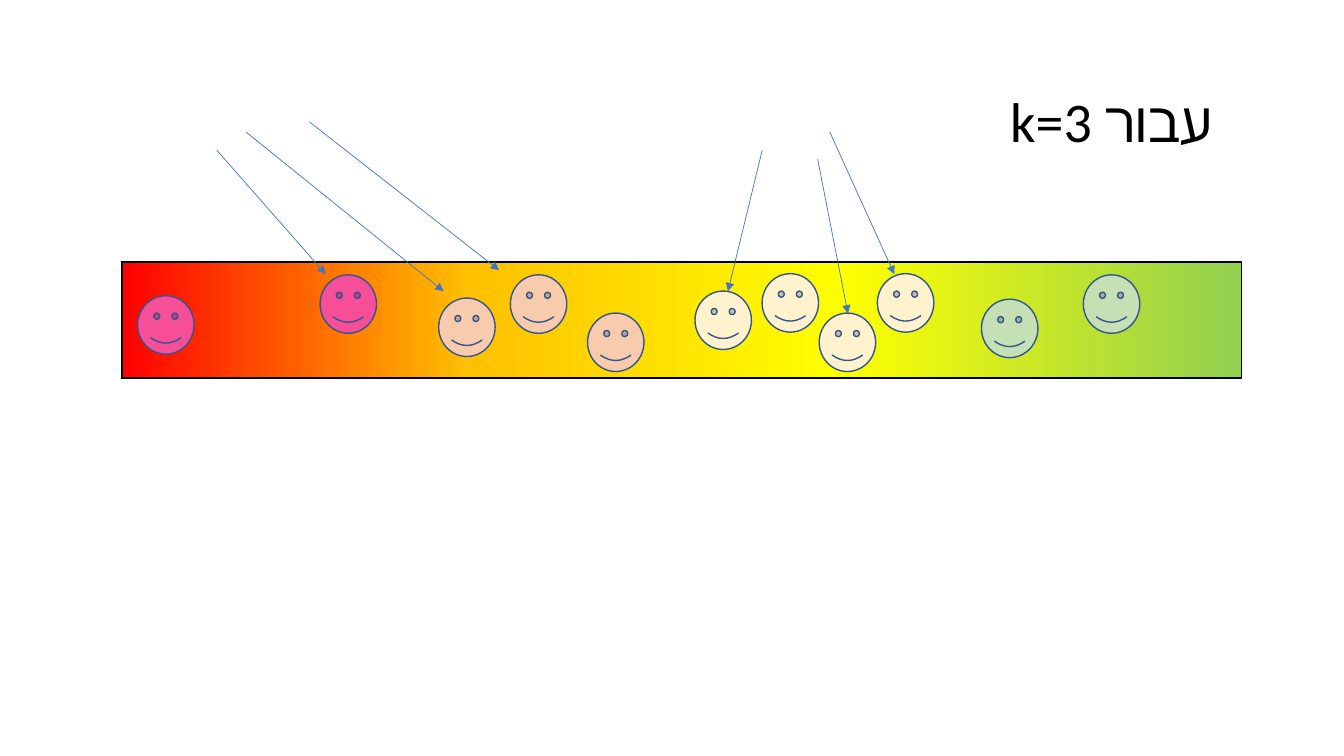
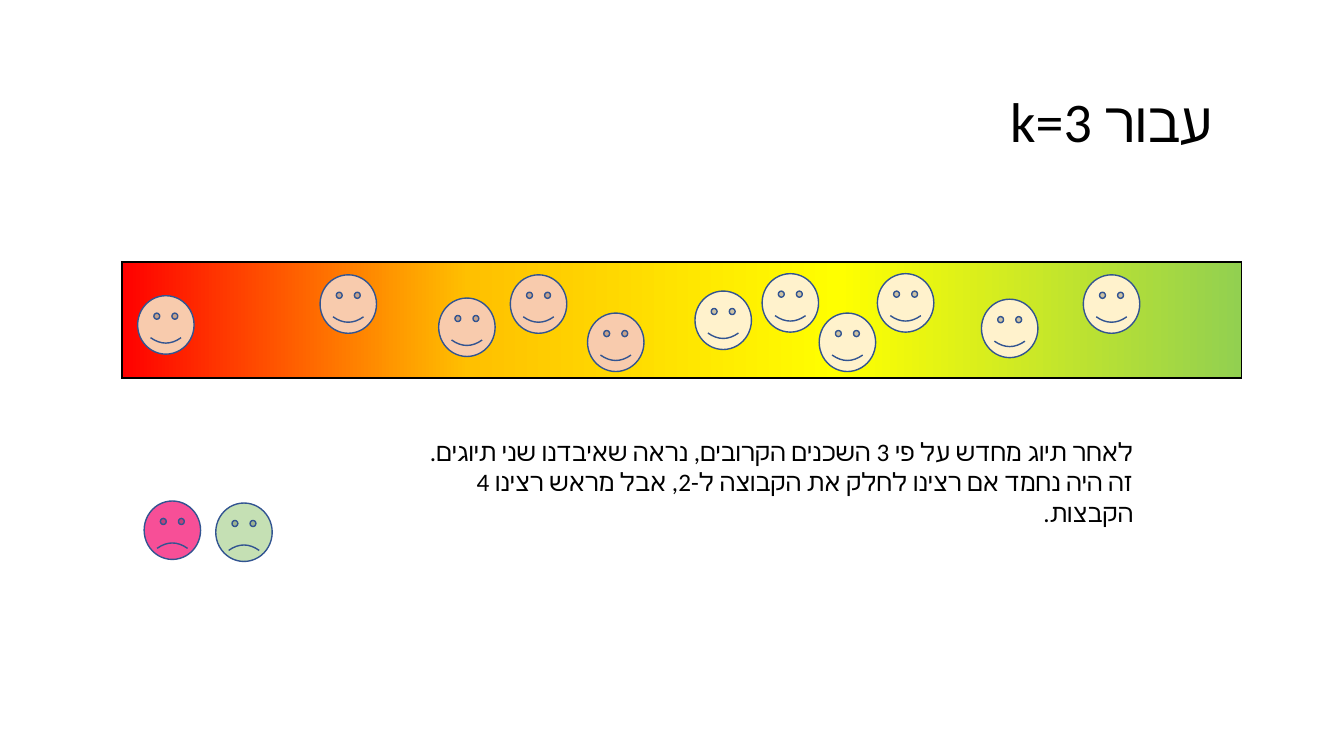
"""Builds two slides on relabelling neighbours along a colour band for k=3."""
from dataclasses import dataclass
from pptx import Presentation
from pptx.dml.color import RGBColor as Rgb
from pptx.enum.shapes import MSO_CONNECTOR as Conn, MSO_SHAPE as Shape
from pptx.enum.text import MSO_ANCHOR as Anchor, MSO_AUTO_SIZE as Fit, PP_ALIGN as Align
from pptx.oxml import parse_xml
from pptx.oxml.ns import nsdecls
from pptx.oxml.xmlchemy import OxmlElement as Node
from pptx.util import Inches, Pt


@dataclass(frozen=True)
class Theme:
    """Colours, font and type sizes."""
    font: str = "Calibri"
    title: int = 40
    body: int = 18
    ink: str = "000000"
    edge: str = "325491"
    arrow: str = "4472C4"
    stops: tuple = ((0, "FF0000"), (31, "FFC000"), (64, "FFFF00"), (100, "92D050"))


LOOK = Theme()
TINTS = {"P": "F74F97", "O": "F8CBAD", "Y": "FFF2CC", "G": "C5E0B4"}
TITLE = "עבור k=3"
NOTE = ("לאחר תיוג מחדש על פי 3 השכנים הקרובים, נראה שאיבדנו שני תיוגים. "
        "זה היה נחמד אם רצינו לחלק את הקבוצה ל-2, אבל מראש רצינו 4 הקבצות.")
BAND = (1.21, 2.6, 11.1, 1.15)
FACE = (0.56, 0.58)
SPOTS = [(1.4, 29), (17.7, 11), (28.3, 31), (34.7, 11), (41.6, 44), (51.2, 25),
         (57.2, 10), (62.3, 44), (67.5, 10), (76.8, 32), (85.9, 11)]
ARROWS = [(7.56, 1.49, 7.22, 2.89), (8.11, 1.58, 8.41, 3.11), (8.23, 1.31, 8.87, 2.72),
          (2.15, 1.49, 3.23, 2.72), (2.44, 1.31, 4.4, 2.89), (3.07, 1.21, 4.95, 2.68)]
LOST = [("P", 1.43, 4.97), ("G", 2.14, 4.99)]
SLIDES = [
    {"tags": "PPOOOYYYYGG", "arrows": ARROWS, "lost": [], "note": ""},
    {"tags": "OOOOOYYYYYY", "arrows": [], "lost": LOST, "note": NOTE},
]


def inch(*vals):
    return [Inches(val) for val in vals]


def write(box, text, area, size):
    box.left, box.top, box.width, box.height = inch(*area)
    frame = box.text_frame
    frame.text = text
    frame.word_wrap = True
    frame.auto_size = Fit.SHAPE_TO_FIT_TEXT
    frame.vertical_anchor = Anchor.TOP
    para = frame.paragraphs[0]
    para.alignment = Align.RIGHT
    para.line_spacing = 1.0
    para.space_before = Pt(0)
    props = para._p.get_or_add_pPr()
    for key, val in (("rtl", "1"), ("marL", "0"), ("marR", "0"), ("indent", "0")):
        props.set(key, val)
    props.append(Node("a:buNone"))
    for run in para.runs:
        font = run.font
        font.name, font.size = LOOK.font, Pt(size)
        font.color.rgb = Rgb.from_string(LOOK.ink)
        script = Node("a:cs")
        script.set("typeface", LOOK.font)
        run._r.get_or_add_rPr().append(script)


def add_band(slide):
    table = slide.shapes.add_table(1, 1, *inch(*BAND)).table
    table.first_row = table.horz_banding = False
    props = table.cell(0, 0)._tc.get_or_add_tcPr()
    for side in "LRTB":
        props.append(parse_xml(
            f'<a:ln{side} {nsdecls("a")} w="{Pt(1)}"><a:solidFill>'
            f'<a:srgbClr val="{LOOK.ink}"/></a:solidFill></a:ln{side}>'))
    stops = "".join(f'<a:gs pos="{pos * 1000}"><a:srgbClr val="{tint}"/></a:gs>'
                    for pos, tint in LOOK.stops)
    props.append(parse_xml(f'<a:gradFill {nsdecls("a")} rotWithShape="1"><a:gsLst>{stops}'
                           '</a:gsLst><a:lin ang="0" scaled="0"/></a:gradFill>'))


def add_face(slide, tag, left, top, sad=False):
    face = slide.shapes.add_shape(Shape.SMILEY_FACE, *inch(left, top, *FACE))
    face.shadow.inherit = False
    face.fill.solid()
    face.fill.fore_color.rgb = Rgb.from_string(TINTS[tag])
    face.line.color.rgb = Rgb.from_string(LOOK.edge)
    face.line.width = Pt(1)
    if sad:
        face.adjustments[0] = -0.05


def add_arrow(slide, ends):
    line = slide.shapes.add_connector(Conn.STRAIGHT, *inch(*ends))
    line.line.color.rgb = Rgb.from_string(LOOK.arrow)
    line.line.width = Pt(0.5)
    tip = Node("a:tailEnd")
    tip.set("type", "triangle")
    line.line._get_or_add_ln().append(tip)
    line._element.spPr.append(Node("a:effectLst"))


def add_slide(deck, data):
    slide = deck.slides.add_slide(deck.slide_layouts[1 if data["note"] else 5])
    write(slide.shapes.title, TITLE, (3.23, 0.81, 8.9, 0.77), LOOK.title)
    if data["note"]:
        write(slide.placeholders[1], data["note"], (3.94, 4.28, 7.4, 0.95), LOOK.body)
    add_band(slide)
    left, top, width, height = BAND
    for tag, (col, row) in zip(data["tags"], SPOTS):
        add_face(slide, tag, left + width * col / 100, top + height * row / 100)
    for spot in data["lost"]:
        add_face(slide, *spot, sad=True)
    for ends in data["arrows"]:
        add_arrow(slide, ends)


def main():
    deck = Presentation()
    deck.slide_width, deck.slide_height = inch(13.33, 7.5)
    for data in SLIDES:
        add_slide(deck, data)
    deck.save("out.pptx")


if __name__ == "__main__":
    main()
